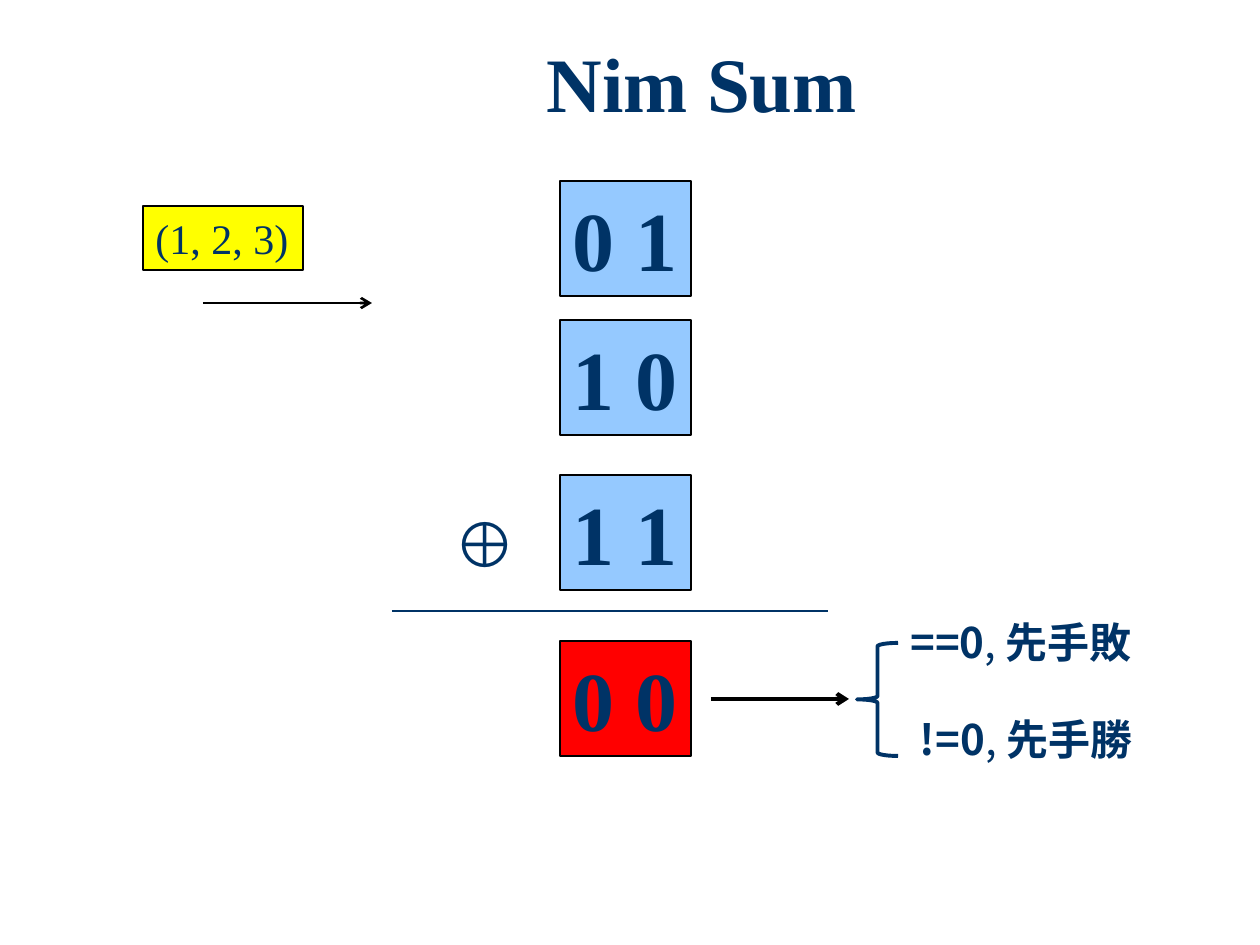
from lxml.etree import SubElement
from pptx import Presentation
from pptx.dml.color import RGBColor as RGB
from pptx.enum.shapes import MSO_CONNECTOR as Conn, MSO_SHAPE as Kind
from pptx.enum.text import MSO_ANCHOR as Anchor, MSO_AUTO_SIZE as Fit, PP_ALIGN as Align
from pptx.oxml.ns import qn
from pptx.util import Emu, Pt

NAVY = RGB(0x00, 0x33, 0x66)
BLACK = RGB(0x00, 0x00, 0x00)
YELLOW = RGB(0xFF, 0xFF, 0x00)
BLUE = RGB(0x95, 0xC9, 0xFF)
RED = RGB(0xFF, 0x00, 0x00)
SERIF = "Times New Roman"
CJK = "Noto Sans CJK SC"
SCALE = 914400 / 126


def px(*vals):
    return [Emu(round(v * SCALE)) for v in vals]


def write(frame, *runs, size=24, font=SERIF, bold=False, align=Align.LEFT, wrap=False):
    """Fill one paragraph; a run is a string or a (string, bold) pair."""
    frame.word_wrap = wrap
    para = frame.paragraphs[0]
    para.alignment = align
    for item in runs:
        text, heavy = (item, bold) if isinstance(item, str) else item
        run = para.add_run()
        run.text = text
        face = run.font
        face.size, face.name, face.bold = Pt(size), font, heavy
        face.color.rgb = NAVY
        SubElement(face._element, qn("a:ea"), typeface=font)
    return para


class Page:
    def __init__(self, deck):
        self.slide = deck.slides.add_slide(deck.slide_layouts[5])
        self.shapes = self.slide.shapes

    def title(self, text, x, y, w, h):
        head = self.shapes.title
        head.left, head.top, head.width, head.height = px(x, y, w, h)
        frame = head.text_frame
        frame.vertical_anchor = Anchor.MIDDLE
        frame.margin_bottom = px(22)[0]
        para = write(frame, text, size=44, bold=True, align=Align.CENTER, wrap=True)
        para.line_spacing = 0.9

    def box(self, text, x, y, w, h, fill, **form):
        box = self.shapes.add_shape(Kind.RECTANGLE, *px(x, y, w, h))
        box.shadow.inherit = False
        box.fill.solid()
        box.fill.fore_color.rgb = fill
        box.line.color.rgb = BLACK
        box.line.width = Pt(0.75)
        box.text_frame.vertical_anchor = Anchor.TOP
        write(box.text_frame, text, **form)
        box.text_frame.auto_size = Fit.SHAPE_TO_FIT_TEXT

    def label(self, *runs, at, **form):
        frame = self.shapes.add_textbox(*px(*at)).text_frame
        write(frame, *runs, **form)
        frame.auto_size = Fit.SHAPE_TO_FIT_TEXT

    def rule(self, x, y, end, color=BLACK, width=0.75, arrow=False):
        line = self.shapes.add_connector(Conn.STRAIGHT, *px(x, y, end, y))
        line.line.color.rgb = color
        line.line.width = Pt(width)
        if arrow:
            SubElement(line.line._get_or_add_ln(), qn("a:tailEnd"), type="arrow")
        SubElement(line._element.spPr, qn("a:effectLst"))

    def brace(self, x, y, w, h):
        brace = self.shapes.add_shape(Kind.LEFT_BRACE, *px(x, y, w, h))
        brace.shadow.inherit = False
        brace.fill.background()
        brace.line.color.rgb = NAVY
        brace.line.width = Pt(2.25)


def main():
    deck = Presentation()
    deck.slide_width, deck.slide_height = px(1260, 945)
    page = Page(deck)
    page.title("Nim Sum", 198, 37, 1008, 116)

    page.box("(1, 2, 3)", 143, 206, 160, 64, YELLOW)
    page.rule(203, 303, 372, width=1.5, arrow=True)

    rows = [("0 1", 181, BLUE), ("1 0", 320, BLUE), ("1 1", 475, BLUE), ("0 0", 641, RED)]
    for bits, y, fill in rows:
        page.box(bits, 560, y, 131, 115, fill, size=48, bold=True)
    page.label("⊕", at=(441, 498, 89, 89), size=36, bold=True)
    page.rule(392, 611, 828, color=NAVY)

    page.rule(711, 699, 849, width=2.25, arrow=True)
    page.brace(857, 643, 41, 113)
    for test, result, y in [("==0", "先手敗", 610), (" !=0", "先手勝", 707)]:
        page.label(test, (", ", False), result, at=(898, y, 262, 63), font=CJK, bold=True)

    deck.save("out.pptx")


if __name__ == "__main__":
    main()
